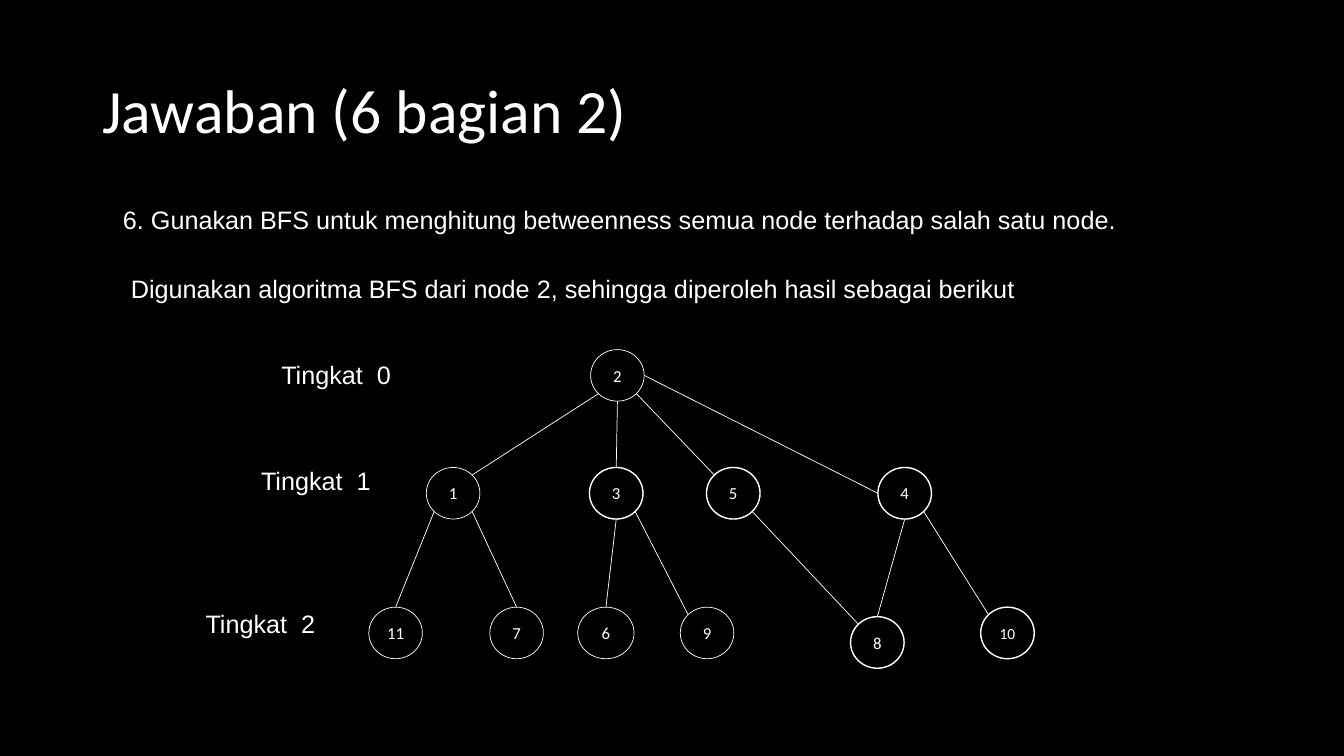
from math import cos, radians, sin

from lxml.etree import SubElement
from pptx import Presentation
from pptx.dml.color import RGBColor
from pptx.enum.shapes import MSO_CONNECTOR, MSO_SHAPE
from pptx.enum.text import MSO_ANCHOR, PP_ALIGN
from pptx.oxml.ns import qn
from pptx.util import Cm, Pt

WHITE = "FFFFFF"
BLACK = "000000"
TITLE_FONT = {"name": "Calibri", "size": Pt(44)}
BODY_FONT = {"name": "Arial", "size": Pt(18)}
NODE_FONT = {"name": "Calibri", "size": Pt(12)}
SMALL_NODE_FONT = {"name": "Calibri", "size": Pt(11)}
NO_MARGINS = {"margin_left": 0, "margin_right": 0, "margin_top": 0, "margin_bottom": 0}

NODE_WIDTH, NODE_HEIGHT = 1.35, 1.3
LEVELS = [0.65, 3.62, 7.14]
THIN, THICK = 0.5, 1
NODES = {
    "2": (6.26, LEVELS[0], THIN),
    "1": (2.12, LEVELS[1], THIN),
    "3": (6.23, LEVELS[1], THICK),
    "5": (9.18, LEVELS[1], THICK),
    "4": (13.5, LEVELS[1], THICK),
    "11": (0.67, LEVELS[2], THIN),
    "7": (3.72, LEVELS[2], THIN),
    "6": (5.97, LEVELS[2], THIN),
    "9": (8.52, LEVELS[2], THIN),
    "8": (12.81, LEVELS[2] + 0.24, THICK),
    "10": (16.09, LEVELS[2], THICK),
}
WIDE_NODES = {"6": 1.42}
NODE_FONTS = {"10": SMALL_NODE_FONT}

RIGHT, BOTTOM_RIGHT, BOTTOM, BOTTOM_LEFT = 0, 45, 90, 135
LEFT, TOP_LEFT, TOP, TOP_RIGHT = 180, 225, 270, 315
EDGES = [
    ("2", BOTTOM_LEFT, "1", TOP_RIGHT),
    ("2", BOTTOM, "3", TOP),
    ("2", BOTTOM_RIGHT, "5", TOP_LEFT),
    ("2", RIGHT, "4", LEFT),
    ("1", BOTTOM_LEFT, "11", TOP),
    ("1", BOTTOM_RIGHT, "7", TOP),
    ("3", BOTTOM, "6", TOP),
    ("3", BOTTOM_RIGHT, "9", TOP_LEFT),
    ("5", BOTTOM_RIGHT, "8", TOP_LEFT),
    ("4", BOTTOM, "8", TOP),
    ("4", BOTTOM_RIGHT, "10", TOP_LEFT),
]


def color(value):
    return RGBColor.from_string(value)


def apply_format(target, values):
    for name, value in values.items():
        setattr(target, name, value)


def add_run(paragraph, text, font_values):
    run = paragraph.add_run()
    run.text = text
    apply_format(run.font, font_values)
    run.font.color.rgb = color(WHITE)
    return run


def add_text_frame(slide, box):
    frame = slide.shapes.add_textbox(*map(Cm, box)).text_frame
    frame.word_wrap = True
    return frame


def add_title(slide, box, text):
    frame = add_text_frame(slide, box)
    frame.vertical_anchor = MSO_ANCHOR.MIDDLE
    paragraph = frame.paragraphs[0]
    paragraph.line_spacing = 0.9
    add_run(paragraph, text, TITLE_FONT)


def add_body_paragraph(slide, box):
    paragraph = add_text_frame(slide, box).paragraphs[0]
    paragraph.alignment = PP_ALIGN.JUSTIFY
    paragraph._p.get_or_add_pPr().set("marL", str(Cm(0.13)))
    return paragraph


def add_statement(slide, box, text):
    add_run(add_body_paragraph(slide, box), text, BODY_FONT)


def add_level_label(slide, box, level):
    paragraph = add_body_paragraph(slide, box)
    add_run(paragraph, "Tingkat", BODY_FONT)
    space = add_run(paragraph, " ", BODY_FONT)
    space._r.get_or_add_rPr().set("spc", "500")
    add_run(paragraph, str(level), BODY_FONT)


def node_width(name):
    return WIDE_NODES.get(name, NODE_WIDTH)


def edge_point(box, name, angle):
    x, y, _ = NODES[name]
    return (
        Cm(box[0] + x + node_width(name) / 2 * cos(radians(angle))),
        Cm(box[1] + y + NODE_HEIGHT / 2 * sin(radians(angle))),
    )


def add_edge(group, box, parent, parent_angle, child, child_angle):
    start = edge_point(box, parent, parent_angle)
    end = edge_point(box, child, child_angle)
    connector = group.shapes.add_connector(MSO_CONNECTOR.STRAIGHT, *start, *end)
    connector.line.color.rgb = color(WHITE)
    connector.line.width = Pt(THIN)
    SubElement(connector._element.spPr, qn("a:effectLst"))


def add_node(group, box, name):
    x, y, line_width = NODES[name]
    width = node_width(name)
    left, top = box[0] + x - width / 2, box[1] + y - NODE_HEIGHT / 2
    shape = group.shapes.add_shape(
        MSO_SHAPE.OVAL, Cm(left), Cm(top), Cm(width), Cm(NODE_HEIGHT)
    )
    shape.shadow.inherit = False
    shape.fill.background()
    shape.line.color.rgb = color(WHITE)
    shape.line.width = Pt(line_width)
    frame = shape.text_frame
    apply_format(frame, NO_MARGINS)
    frame.vertical_anchor = MSO_ANCHOR.MIDDLE
    paragraph = frame.paragraphs[0]
    paragraph.alignment = PP_ALIGN.CENTER
    add_run(paragraph, name, NODE_FONTS.get(name, NODE_FONT))


def add_tree(slide, box):
    group = slide.shapes.add_group_shape()
    for edge in EDGES:
        add_edge(group, box, *edge)
    for name in NODES:
        add_node(group, box, name)


def main():
    presentation = Presentation()
    presentation.slide_width = Cm(33.87)
    presentation.slide_height = Cm(19.05)
    slide = presentation.slides.add_slide(presentation.slide_layouts[6])
    slide.background.fill.solid()
    slide.background.fill.fore_color.rgb = color(BLACK)

    add_title(slide, (2.33, 1.01, 29.21, 3.68), "Jawaban (6 bagian 2)")
    add_statement(
        slide,
        (2.72, 5.03, 26.92, 1.03),
        "6. Gunakan BFS untuk menghitung betweenness semua node terhadap salah satu node.",
    )
    add_statement(
        slide,
        (2.92, 6.76, 26.92, 1.03),
        "Digunakan algoritma BFS dari node 2, sehingga diperoleh hasil sebagai berikut",
    )
    add_tree(slide, (9.3, 8.81))
    for level, (left, top) in enumerate([(6.71, 8.94), (6.2, 11.6), (4.8, 15.21)]):
        add_level_label(slide, (left, top, 3.84, 1.03), level)

    presentation.save("out.pptx")


if __name__ == "__main__":
    main()
